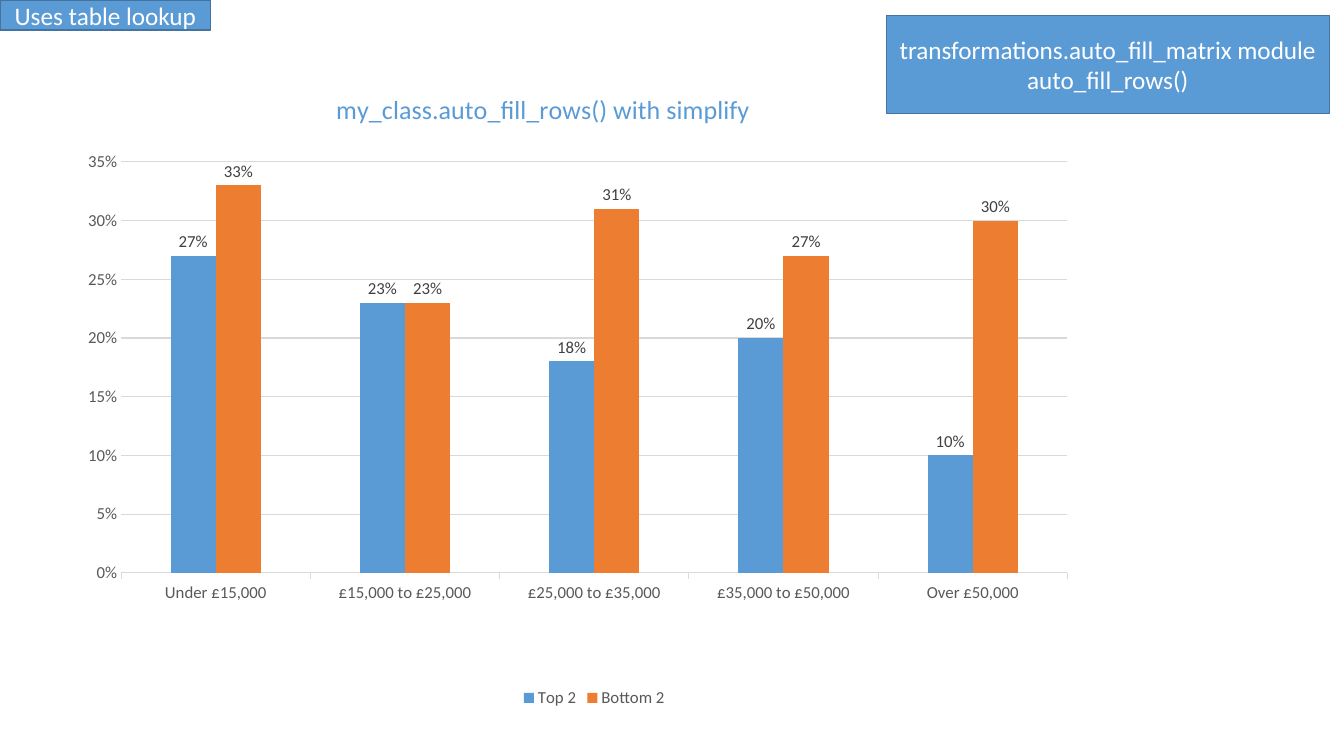
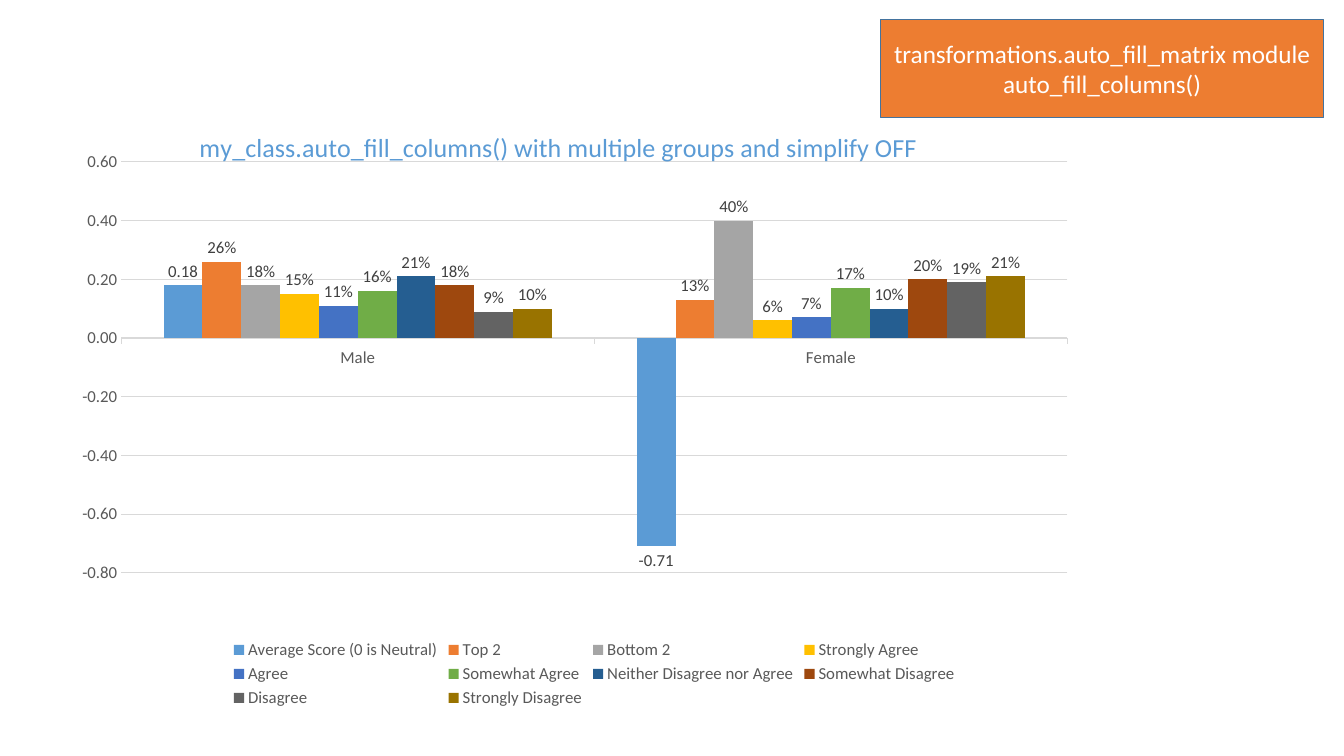
"""Build two slides that show auto-filled matrix charts."""
from lxml import etree
from pptx import Presentation
from pptx.chart.data import CategoryChartData
from pptx.dml.color import RGBColor
from pptx.enum.chart import (XL_AXIS_CROSSES, XL_CHART_TYPE, XL_LABEL_POSITION,
                             XL_LEGEND_POSITION, XL_TICK_MARK)
from pptx.enum.shapes import MSO_SHAPE
from pptx.enum.text import MSO_ANCHOR, PP_ALIGN
from pptx.oxml.ns import qn
from pptx.util import Pt

COLUMN = XL_CHART_TYPE.COLUMN_CLUSTERED
RIGHT = XL_AXIS_CROSSES.MAXIMUM
OUTSIDE = XL_TICK_MARK.OUTSIDE
NO_TICK = XL_TICK_MARK.NONE
BOTTOM = XL_LEGEND_POSITION.BOTTOM
ABOVE = XL_LABEL_POSITION.OUTSIDE_END
RECT = MSO_SHAPE.RECTANGLE
MIDDLE = MSO_ANCHOR.MIDDLE
CENTER = PP_ALIGN.CENTER

FONT = "Calibri"
HEX = {
    "blue": "5B9BD5", "orange": "ED7D31", "gray": "A5A5A5", "gold": "FFC000",
    "royal": "4472C4", "green": "70AD47", "navy": "255E91", "rust": "9E480E",
    "slate": "636363", "olive": "997300", "edge": "43739E", "white": "FFFFFF",
    "grid": "D9D9D9", "text": "595959", "label": "404040", "black": "000000",
}
RGB = {name: RGBColor.from_string(code) for name, code in HEX.items()}

SLIDES = [
    {
        "title": "my_class.auto_fill_rows() with simplify",
        "spot": {"x": 0.25, "y": 0.01},
        "top": 0.13,
        "cats": ["Under £15,000", "£15,000 to £25,000", "£25,000 to £35,000",
                 "£35,000 to £50,000", "Over £50,000"],
        "scale": (0, 0.35, 0.05, "0%"),
        "series": [
            ("Top 2", "blue", "0%", (0.27, 0.23, 0.18, 0.2, 0.1)),
            ("Bottom 2", "orange", "0%", (0.33, 0.23, 0.31, 0.27, 0.3)),
        ],
        "boxes": [
            ("transformations.auto_fill_matrix module\nauto_fill_rows()",
             "blue", (633, 11, 316.5, 70)),
            ("Uses table lookup", "blue", (0, 0, 150.5, 21.5)),
        ],
    },
    {
        "title": "my_class.auto_fill_columns() with multiple groups and simplify OFF",
        "spot": {"x": 0.12, "y": 0.07},
        "top": 0.13,
        "cats": ["Male", "Female"],
        "scale": (-0.8, 0.6, 0.2, "0.00"),
        "series": [
            ("Average Score (0 is Neutral)", "blue", "0.00", (0.18, -0.71)),
            ("Top 2", "orange", "0%", (0.26, 0.13)),
            ("Bottom 2", "gray", "0%", (0.18, 0.4)),
            ("Strongly Agree", "gold", "0%", (0.15, 0.06)),
            ("Agree", "royal", "0%", (0.11, 0.07)),
            ("Somewhat Agree", "green", "0%", (0.16, 0.17)),
            ("Neither Disagree nor Agree", "navy", "0%", (0.21, 0.1)),
            ("Somewhat Disagree", "rust", "0%", (0.18, 0.2)),
            ("Disagree", "slate", "0%", (0.09, 0.19)),
            ("Strongly Disagree", "olive", "0%", (0.1, 0.21)),
        ],
        "boxes": [
            ("transformations.auto_fill_matrix module\nauto_fill_columns()",
             "orange", (629, 14, 316.5, 70)),
        ],
    },
]


def style(font, size, color):
    font.name = FONT
    font.size = Pt(size)
    font.bold = False
    font.color.rgb = RGB[color]


def place(parent, index, marks):
    for old in parent.findall(qn("c:layout")):
        parent.remove(old)
    layout = etree.Element(qn("c:layout"))
    manual = etree.SubElement(layout, qn("c:manualLayout"))
    for tag, value in marks.items():
        etree.SubElement(manual, qn("c:" + tag)).set("val", str(value))
    parent.insert(index, layout)


deck = Presentation()
deck.slide_width, deck.slide_height = Pt(960), Pt(540)
blank = deck.slide_layouts[6]

for page in SLIDES:
    slide = deck.slides.add_slide(blank)

    data = CategoryChartData()
    data.categories = page["cats"]
    for name, color, form, values in page["series"]:
        data.add_series(name, values, form)
    chart = slide.shapes.add_chart(
        COLUMN, Pt(49), Pt(57), Pt(751), Pt(451.5), data).chart
    style(chart.font, 10, "black")

    chart.has_title = True
    title = chart.chart_title
    title.text_frame.text = page["title"]
    style(title.text_frame.paragraphs[0].font, 18.6, "blue")
    place(title.element, 1, {"xMode": "edge", "yMode": "edge", **page["spot"]})
    area = chart.element.find(".//" + qn("c:plotArea"))
    place(area, 0, {"layoutTarget": "inner", "xMode": "edge", "yMode": "edge",
                    "x": 0.05, "y": page["top"], "w": 0.9, "h": 0.65})

    chart.has_legend = True
    chart.legend.position = BOTTOM
    chart.legend.include_in_layout = False
    style(chart.legend.font, 12, "text")

    across = chart.category_axis
    across.crosses = RIGHT
    across.major_tick_mark = OUTSIDE
    across.format.line.color.rgb = RGB["grid"]
    across.format.line.width = Pt(0.75)
    style(across.tick_labels.font, 12, "text")

    scale = chart.value_axis
    low, high, step, form = page["scale"]
    scale.minimum_scale, scale.maximum_scale = low, high
    scale.major_unit = step
    scale.major_tick_mark = NO_TICK
    scale.format.line.fill.background()
    grid = scale.major_gridlines.format.line
    grid.color.rgb = RGB["grid"]
    grid.width = Pt(0.75)
    scale.tick_labels.number_format = form
    scale.tick_labels.number_format_is_linked = False
    style(scale.tick_labels.font, 12, "text")

    plot = chart.plots[0]
    plot.gap_width = 219
    plot.overlap = 0
    plot.vary_by_categories = False
    for bars, (name, color, form, values) in zip(plot.series, page["series"]):
        bars.invert_if_negative = False
        bars.format.fill.solid()
        bars.format.fill.fore_color.rgb = RGB[color]
        labels = bars.data_labels
        labels.show_value = True
        labels.position = ABOVE
        labels.number_format = form
        labels.number_format_is_linked = False
        style(labels.font, 12, "label")

    for text, color, spot in page["boxes"]:
        box = slide.shapes.add_shape(RECT, *map(Pt, spot))
        box.shadow.inherit = False
        box.fill.solid()
        box.fill.fore_color.rgb = RGB[color]
        box.line.color.rgb = RGB["edge"]
        box.line.width = Pt(1)
        frame = box.text_frame
        frame.word_wrap = True
        frame.vertical_anchor = MIDDLE
        frame.text = text
        for line in frame.paragraphs:
            line.alignment = CENTER
            style(line.font, 18, "white")

deck.save("out.pptx")
